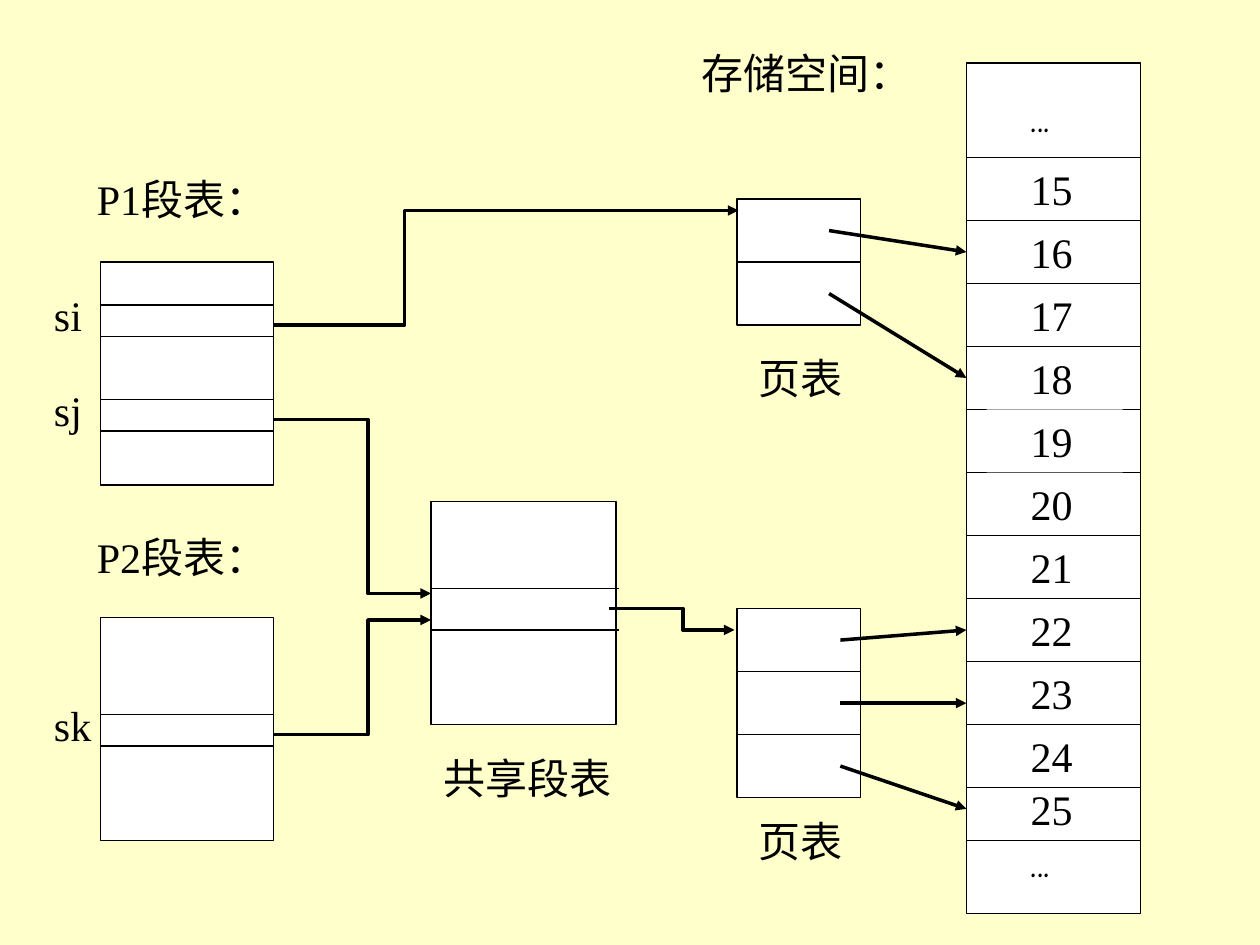
"""Build a slide showing how two processes share a segment through page tables."""

from dataclasses import dataclass

from lxml import etree
from pptx import Presentation
from pptx.dml.color import RGBColor
from pptx.enum.shapes import MSO_CONNECTOR, MSO_SHAPE
from pptx.oxml.ns import qn
from pptx.slide import Slide
from pptx.util import Inches, Pt

STRAIGHT = MSO_CONNECTOR.STRAIGHT
RECTANGLE = MSO_SHAPE.RECTANGLE

CREAM = RGBColor(0xFF, 0xFF, 0xCC)
WHITE = RGBColor(0xFF, 0xFF, 0xFF)
BLACK = RGBColor(0x00, 0x00, 0x00)

TEXT_FONT = "Times New Roman"
DOTS_FONT = "Comic Neue"
THIN, THICK = 0.75, 2
TEXT_HEIGHT = 0.5

Point = tuple[float, float]


@dataclass
class RuledBox:
    left: float
    top: float
    width: float
    height: float
    rules: list[float]
    overhang: float = 0


@dataclass
class Label:
    text: str
    left: float
    top: float
    width: float
    indent: float = 0.1
    font: str = TEXT_FONT
    filled: bool = False


MEMORY_RULES = [1.25 + 0.5 * row for row in range(11)] + [6.67]
BOXES = [
    RuledBox(3.42, 3.98, 1.47, 1.77, [4.67, 5], overhang=0.02),
    RuledBox(0.8, 2.08, 1.37, 1.77, [2.42, 2.67, 3.17, 3.42]),
    RuledBox(0.8, 4.9, 1.37, 1.77, [5.67, 5.92]),
    RuledBox(5.85, 4.83, 0.98, 1.5, [5.33, 5.83]),
    RuledBox(5.85, 1.58, 0.98, 1, [2.08]),
    RuledBox(7.67, 0.5, 1.38, 6.75, MEMORY_RULES),
]

ELBOW_ARROWS: list[list[Point]] = [
    [(2.17, 2.58), (3.21, 2.58), (3.21, 1.67), (5.86, 1.67)],
    [(2.17, 3.33), (2.92, 3.33), (2.92, 4.71), (3.42, 4.71)],
    [(2.17, 5.83), (2.92, 5.83), (2.92, 4.92), (3.42, 4.92)],
    [(4.83, 4.83), (5.42, 4.83), (5.42, 5), (5.83, 5)],
]
PAGE_ARROWS: list[tuple[Point, Point]] = [
    ((6.58, 1.83), (7.67, 2)),
    ((6.58, 2.33), (7.67, 3)),
    ((6.67, 5.08), (7.67, 5)),
    ((6.67, 5.58), (7.67, 5.58)),
    ((6.67, 6.08), (7.67, 6.42)),
]

LABELS = [
    Label("共享段表", 3.42, 5.92, 1.67),
    Label("P1段表：", 0.67, 1.33, 1.66),
    Label("P2段表：", 0.67, 4.17, 1.66),
    Label("存储空间：", 5.47, 0.33, 2.28),
    Label("页表", 5.92, 2.75, 0.92),
    Label("页表", 5.92, 6.42, 0.92),
    Label("si", 0.33, 2.25, 0.5),
    Label("sj", 0.33, 3, 0.5),
    Label("sk", 0.33, 5.5, 0.5),
]


def memory_labels() -> list[Label]:
    """Return the labels inside the memory column."""
    frames = [
        Label(str(number), 7.83, min(top, 6.17), 1.08, 0.35, filled=number == 19)
        for number, top in zip(range(15, 26), MEMORY_RULES)
    ]
    dots = [Label("...", 7.83, top, 1.08, 0.35, DOTS_FONT) for top in (0.67, 6.58)]
    return frames + dots


def set_line(shape, width: float, arrow: bool = False) -> None:
    """Give a shape or connector a black line, with an arrowhead if asked."""
    shape.line.color.rgb = BLACK
    shape.line.width = Pt(width)
    if arrow:
        line = shape.element.spPr.find(qn("a:ln"))
        etree.SubElement(line, qn("a:tailEnd"), type="triangle")


def add_straight_line(
    slide: Slide, start: Point, end: Point, width: float, arrow: bool = False
) -> None:
    """Draw a straight line without a shadow."""
    connector = slide.shapes.add_connector(
        STRAIGHT, *(Inches(value) for value in start + end)
    )
    set_line(connector, width, arrow)
    etree.SubElement(connector.element.spPr, qn("a:effectLst"))


def add_elbow_arrow(slide: Slide, points: list[Point]) -> None:
    """Draw an open path of straight segments that ends in an arrowhead."""
    corners = [(Inches(x), Inches(y)) for x, y in points]
    builder = slide.shapes.build_freeform(*corners[0])
    builder.add_line_segments(corners[1:], close=False)
    shape = builder.convert_to_shape()
    shape.shadow.inherit = False
    shape.fill.background()
    set_line(shape, THICK, arrow=True)


def add_ruled_box(slide: Slide, box: RuledBox) -> None:
    """Draw a white box divided by horizontal rules."""
    shape = slide.shapes.add_shape(
        RECTANGLE,
        Inches(box.left),
        Inches(box.top),
        Inches(box.width),
        Inches(box.height),
    )
    shape.shadow.inherit = False
    shape.fill.solid()
    shape.fill.fore_color.rgb = WHITE
    set_line(shape, THIN)
    right = box.left + box.width + box.overhang
    for rule in box.rules:
        add_straight_line(slide, (box.left, rule), (right, rule), THIN)


def add_label(slide: Slide, label: Label) -> None:
    """Write one line of text."""
    text_box = slide.shapes.add_textbox(
        Inches(label.left), Inches(label.top), Inches(label.width), Inches(TEXT_HEIGHT)
    )
    if label.filled:
        text_box.fill.solid()
        text_box.fill.fore_color.rgb = WHITE
    frame = text_box.text_frame
    frame.word_wrap = True
    frame.margin_left = Inches(label.indent)
    paragraph = frame.paragraphs[0]
    paragraph.text = label.text
    paragraph.space_before = Pt(15)
    paragraph.font.name = label.font
    paragraph.font.size = Pt(24)
    paragraph.font.color.rgb = BLACK


def main() -> None:
    """Build and save the presentation."""
    presentation = Presentation()
    presentation.slide_width = Inches(10)
    presentation.slide_height = Inches(7.5)
    slide = presentation.slides.add_slide(presentation.slide_layouts[6])
    slide.background.fill.solid()
    slide.background.fill.fore_color.rgb = CREAM

    for box in BOXES:
        add_ruled_box(slide, box)
    for label in LABELS + memory_labels():
        add_label(slide, label)
    for points in ELBOW_ARROWS:
        add_elbow_arrow(slide, points)
    for start, end in PAGE_ARROWS:
        add_straight_line(slide, start, end, THICK, arrow=True)

    presentation.save("out.pptx")


if __name__ == "__main__":
    main()
